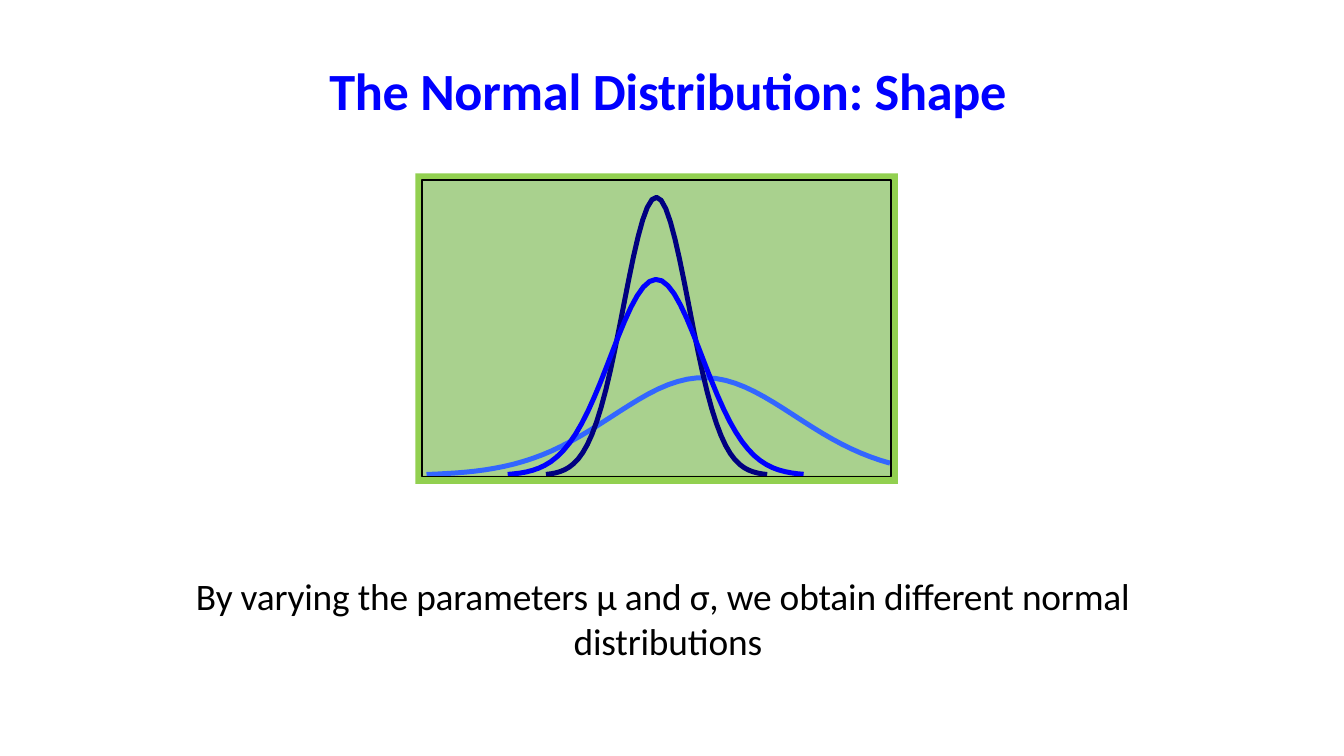
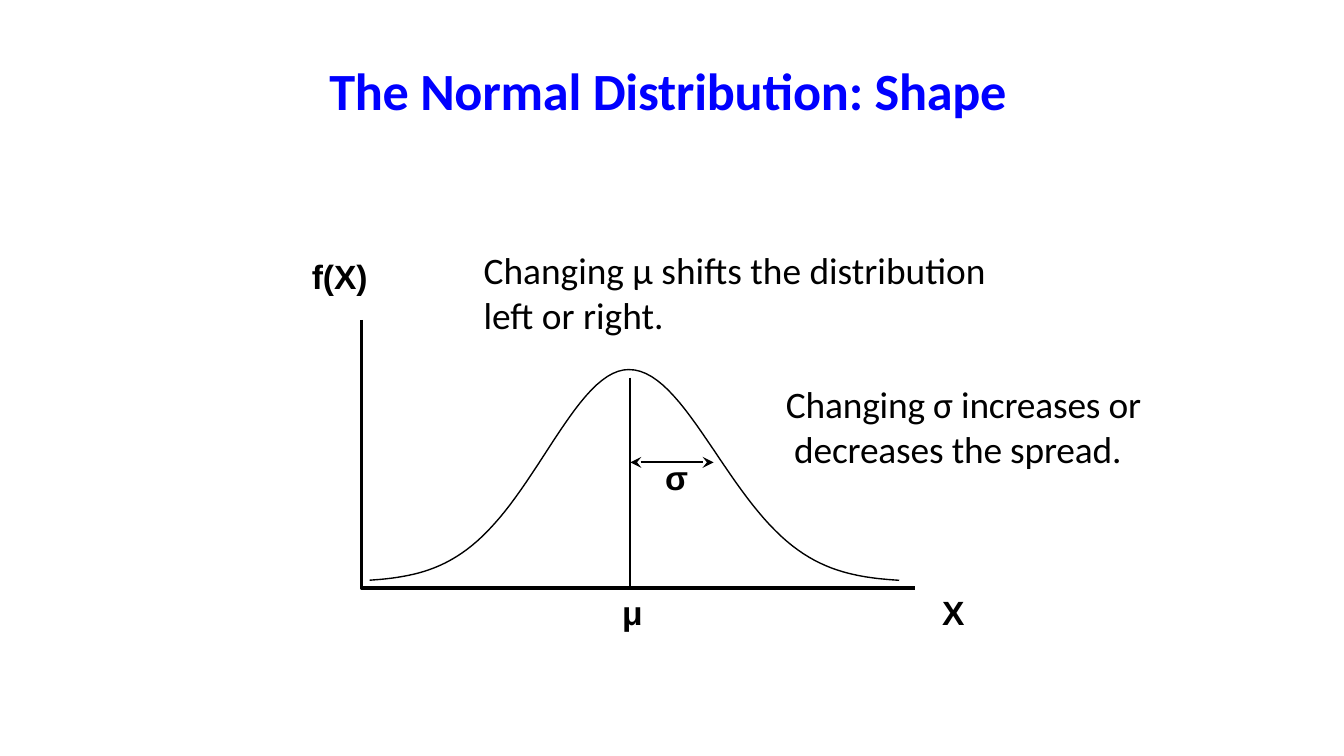
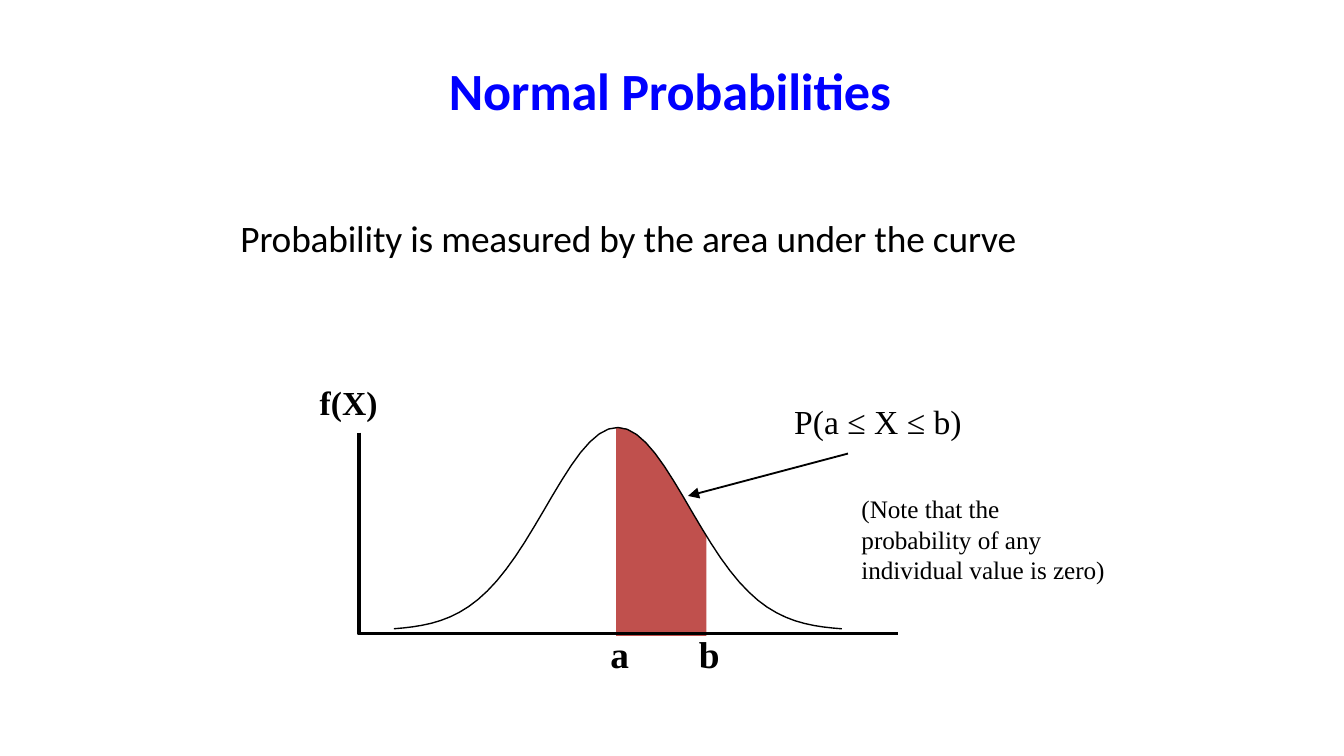
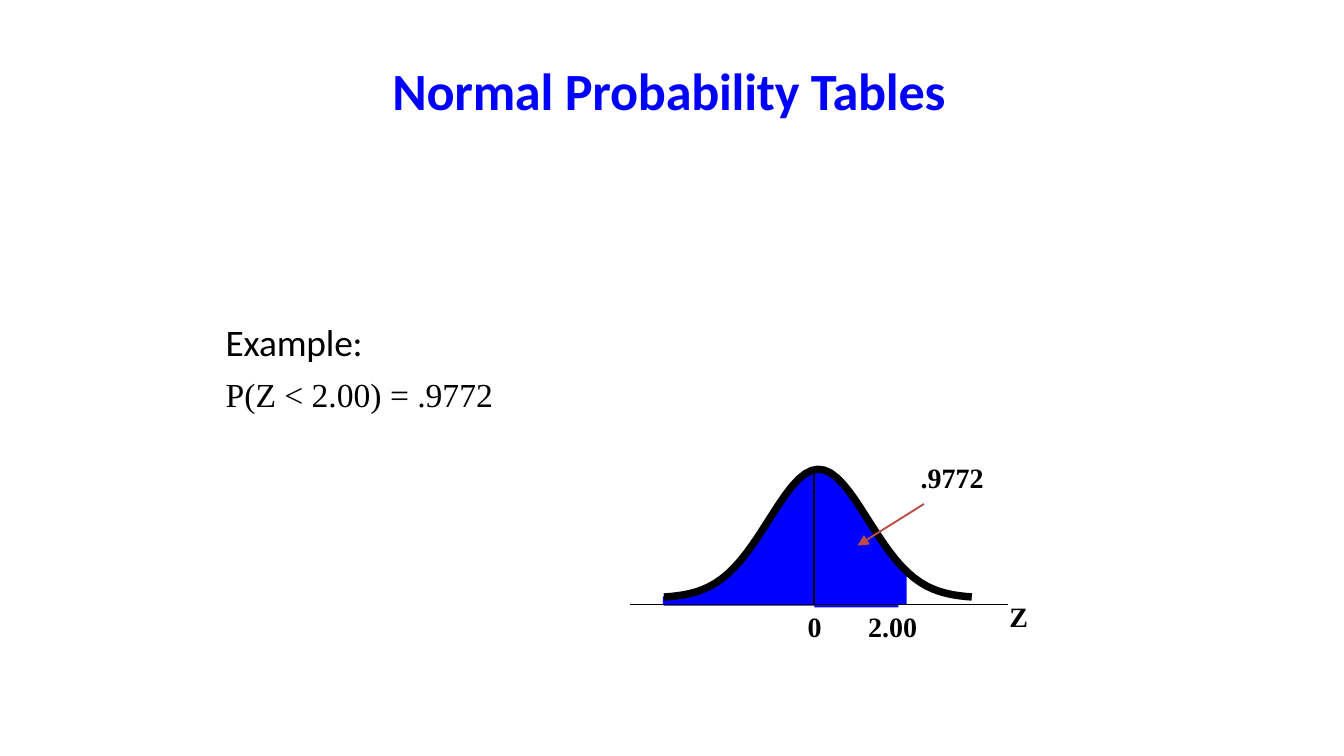
"""Build four slides about the shape and probabilities of the normal distribution."""
from math import exp

from lxml.etree import SubElement
from pptx import Presentation
from pptx.dml.color import RGBColor
from pptx.enum.shapes import MSO_CONNECTOR, MSO_SHAPE
from pptx.enum.text import MSO_ANCHOR, MSO_AUTO_SIZE, PP_ALIGN
from pptx.oxml.ns import qn
from pptx.util import Pt

BLACK, WHITE, BLUE = "000000", "FFFFFF", "0000FF"
NAVY, SKY, RED, ARROW_RED = "000080", "3366FF", "C0504D", "BD4A47"
LIME, SAGE = "92D050", "A9D18E"
SERIF = "Times New Roman"
SEGMENTS = 48


def write_text(shape, text, size=20, font="Calibri", bold=False, color=BLACK, spacing=0,
               before=1, inset=0.7, top=1, hanging=None, tab=None):
    """Add one formatted paragraph to a shape."""
    frame = shape.text_frame
    frame.word_wrap = True
    frame.auto_size = MSO_AUTO_SIZE.NONE
    frame.vertical_anchor = MSO_ANCHOR.TOP
    frame.margin_left, frame.margin_top = Pt(inset), Pt(top)
    frame.margin_right = frame.margin_bottom = 0
    paragraph = frame.add_paragraph() if frame.text else frame.paragraphs[0]
    paragraph.text = text
    paragraph.alignment = PP_ALIGN.LEFT
    paragraph.space_before = Pt(before)
    properties = paragraph._p.get_or_add_pPr()
    if hanging:
        margin, indent = hanging
        properties.set("marL", str(Pt(margin)))
        properties.set("indent", str(Pt(indent)))
    if tab:
        stops = SubElement(properties, qn("a:tabLst"))
        SubElement(stops, qn("a:tab"), pos=str(Pt(tab)), algn="l")
    for run in paragraph.runs:
        run.font.size, run.font.name, run.font.bold = Pt(size), font, bold
        run.font.color.rgb = RGBColor.from_string(color)
        if spacing:
            run._r.get_or_add_rPr().set("spc", str(round(spacing * 100)))


def draw_bell(slide, mean, sigma, base, height, start, end, line=None, width=1,
              fill=None, floor=None):
    """Draw a bell curve, or the area between the curve and a floor."""
    across = [start + (end - start) * i / SEGMENTS for i in range(SEGMENTS + 1)]
    points = [(Pt(x), Pt(base - height * exp(-((x - mean) / sigma) ** 2 / 2))) for x in across]
    if floor:
        points += [(Pt(end), Pt(floor)), (Pt(start), Pt(floor))]
    builder = slide.shapes.build_freeform(*points[0])
    builder.add_line_segments(points[1:], close=bool(floor))
    bell = builder.convert_to_shape()
    bell.shadow.inherit = False
    if fill:
        bell.fill.solid()
        bell.fill.fore_color.rgb = RGBColor.from_string(fill)
    else:
        bell.fill.background()
    if line:
        bell.line.color.rgb = RGBColor.from_string(line)
        bell.line.width = Pt(width)
    else:
        bell.line.fill.background()


presentation = Presentation()
presentation.slide_width, presentation.slide_height = Pt(720), Pt(405)

titles = [
    ("The Normal Distribution: Shape", 175.7, 368.6),
    ("The Normal Distribution: Shape", 175.7, 368.6),
    ("Normal Probabilities", 239.8, 241.2),
    ("Normal Probability Tables", 209.5, 301),
]
slides = []
for text, left, width in titles:
    slide = presentation.slides.add_slide(presentation.slide_layouts[5])
    title = slide.shapes.title
    title.left, title.top, title.width, title.height = Pt(left), Pt(30.2), Pt(width), Pt(35.3)
    write_text(title, text, size=28, bold=True, color=BLUE, spacing=-0.1, before=0.9)
    slides.append(slide)
shapes_slide, spread_slide, area_slide, table_slide = slides

panels = [
    (shapes_slide, 222.5, 92.9, 258.5, 166.3, LIME),
    (shapes_slide, 225.4, 96.5, 251.3, 158.4, SAGE),
    (table_slide, 436.3, 252, 4.3, 72, BLUE),
    (table_slide, 436.3, 313.2, 45, 12.2, BLUE),
    (table_slide, 477.7, 306, 8, 18, BLUE),
]
for slide, left, top, width, height, color in panels:
    panel = slide.shapes.add_shape(MSO_SHAPE.RECTANGLE, Pt(left), Pt(top), Pt(width), Pt(height))
    panel.shadow.inherit = False
    panel.fill.solid()
    panel.fill.fore_color.rgb = RGBColor.from_string(color)
    panel.line.fill.background()

draw_bell(shapes_slide, 377, 49, 254.7, 52.4, 228.5, 476.8, line=SKY, width=2.67)
draw_bell(shapes_slide, 351.6, 17.6, 254.7, 149, 292.5, 411, line=NAVY, width=2.67)
draw_bell(shapes_slide, 351.6, 24.5, 254.7, 105, 272, 430.5, line=BLUE, width=2.67)

draw_bell(spread_slide, 337, 44.8, 311.8, 113.8, 198, 337, line=BLACK, width=0.75)
draw_bell(spread_slide, 337, 46.5, 311.8, 113.8, 337, 481.7, line=BLACK, width=0.75)

probability_bell = (330.8, 38.5, 337.7, 108.7)
draw_bell(area_slide, *probability_bell, 330, 378.4, fill=RED, floor=340.6)
draw_bell(area_slide, *probability_bell, 211, 451, line=BLACK, width=0.75)

table_bell = (438.5, 26.6, 320.4, 69)
draw_bell(table_slide, *table_bell, 355.7, 437.8, line=BLUE, fill=BLUE, floor=324)
draw_bell(table_slide, *table_bell, 436.3, 482.4, line=BLUE, fill=BLUE, floor=320)
draw_bell(table_slide, *table_bell, 355.7, 520.6, line=BLACK, width=4)

frame_box = shapes_slide.shapes.add_shape(
    MSO_SHAPE.RECTANGLE, Pt(226), Pt(96.5), Pt(251.3), Pt(159))
frame_box.shadow.inherit = False
frame_box.fill.background()
frame_box.line.color.rgb = RGBColor.from_string(BLACK)
frame_box.line.width = Pt(0.67)

axes = [(spread_slide, 193.7, 171.4, 490.3, 314.9), (area_slide, 192.2, 231.8, 481, 339.4)]
for slide, left, top, right, bottom in axes:
    builder = slide.shapes.build_freeform(Pt(left), Pt(top))
    builder.add_line_segments([(Pt(left), Pt(bottom)), (Pt(right), Pt(bottom))], close=False)
    axis = builder.convert_to_shape()
    axis.shadow.inherit = False
    axis.fill.background()
    axis.line.color.rgb = RGBColor.from_string(BLACK)
    axis.line.width = Pt(2)

connectors = [
    (spread_slide, 337.7, 202.3, 337.7, 315, BLACK, 1, {}),
    (spread_slide, 337.7, 247.7, 382.3, 247.7, BLACK, 1,
     {"a:headEnd": "stealth", "a:tailEnd": "stealth"}),
    (area_slide, 454.3, 243, 368.6, 265.7, BLACK, 1, {"a:tailEnd": "triangle"}),
    (table_slide, 495, 270, 459.4, 292.3, ARROW_RED, 1, {"a:tailEnd": "triangle"}),
    (table_slide, 337.7, 324, 540, 324, BLACK, 0.75, {}),
    (table_slide, 436.3, 252, 436.3, 324, BLACK, 1, {}),
]
for slide, left, top, right, bottom, color, width, arrowheads in connectors:
    connector = slide.shapes.add_connector(
        MSO_CONNECTOR.STRAIGHT, Pt(left), Pt(top), Pt(right), Pt(bottom))
    connector.line.color.rgb = RGBColor.from_string(color)
    connector.line.width = Pt(width)
    properties = connector.element.spPr
    for tag, kind in arrowheads.items():
        SubElement(properties.find(qn("a:ln")), qn(tag), type=kind)
    SubElement(properties, qn("a:effectLst"))

captions = [
    (shapes_slide, 56, 305.3, 605, 54.7, [
        ("By varying the parameters μ and σ, we obtain different normal distributions",
         {"inset": 0, "before": 1.9, "spacing": -0.1, "hanging": (251.3, -202.3)})]),
    (spread_slide, 252, 130.3, 311, 55.4, [
        ("Changing μ shifts the distribution", {"inset": 7.2, "before": 2.4}),
        ("left or right.", {"inset": 7.2, "before": 0})]),
    (spread_slide, 414, 202.3, 283, 55.4, [
        ("Changing σ increases or\v decreases the spread.",
         {"inset": 7.2, "before": 2.4, "spacing": -0.1})]),
    (area_slide, 123.8, 113, 445.7, 29.5, [
        ("Probability is measured by the area under the curve",
         {"inset": 5, "before": 1.4, "spacing": -0.1})]),
    (table_slide, 113.8, 169.2, 171.4, 57.6, [
        ("Example:", {"inset": 7.2, "before": 2.4, "spacing": -0.1}),
        ("P(Z < 2.00) = .9772", {"inset": 7.2, "before": 5, "size": 18, "font": SERIF})]),
]
for slide, left, top, width, height, paragraphs in captions:
    caption = slide.shapes.add_shape(
        MSO_SHAPE.RECTANGLE, Pt(left), Pt(top), Pt(width), Pt(height))
    caption.shadow.inherit = False
    caption.fill.solid()
    caption.fill.fore_color.rgb = RGBColor.from_string(WHITE)
    caption.line.fill.background()
    for text, text_format in paragraphs:
        write_text(caption, text, top=2, **text_format)

axis_label = {"size": 18, "font": "Arial", "bold": True}
serif_label = {"size": 18, "font": SERIF}
table_label = {"size": 15, "font": SERIF, "bold": True}
labels = [
    (spread_slide, 504, 316, 14.4, 23.8, "X", axis_label),
    (spread_slide, 166.3, 136, 32, 23.8, "f(X)", axis_label),
    (spread_slide, 332.6, 316, 13, 23.8, "μ", axis_label),
    (spread_slide, 355.7, 244, 14.4, 23.8, "σ", axis_label),
    (area_slide, 326.2, 337, 60, 26.6, "a\tb",
     {"size": 20, "font": SERIF, "bold": True, "tab": 47.5}),
    (area_slide, 170.6, 203.8, 33, 23.8, "f(X)", {**serif_label, "bold": True}),
    (area_slide, 460.8, 263.5, 133.2, 50.4,
     "(Note that the\vprobability of any\vindividual value is zero)",
     {"size": 13.5, "font": SERIF}),
    (area_slide, 424.8, 213.8, 96.5, 23.8, "P(a ≤ X ≤ b)", serif_label),
    (table_slide, 540, 320.4, 12.2, 20.2, "Z", table_label),
    (table_slide, 432, 325.4, 60, 20.2, "0\t2.00", {**table_label, "tab": 32.4}),
    (table_slide, 492.5, 245.5, 36, 20.2, ".9772", table_label),
]
for slide, left, top, width, height, text, text_format in labels:
    label = slide.shapes.add_textbox(Pt(left), Pt(top), Pt(width), Pt(height))
    write_text(label, text, **text_format)

presentation.save("out.pptx")
